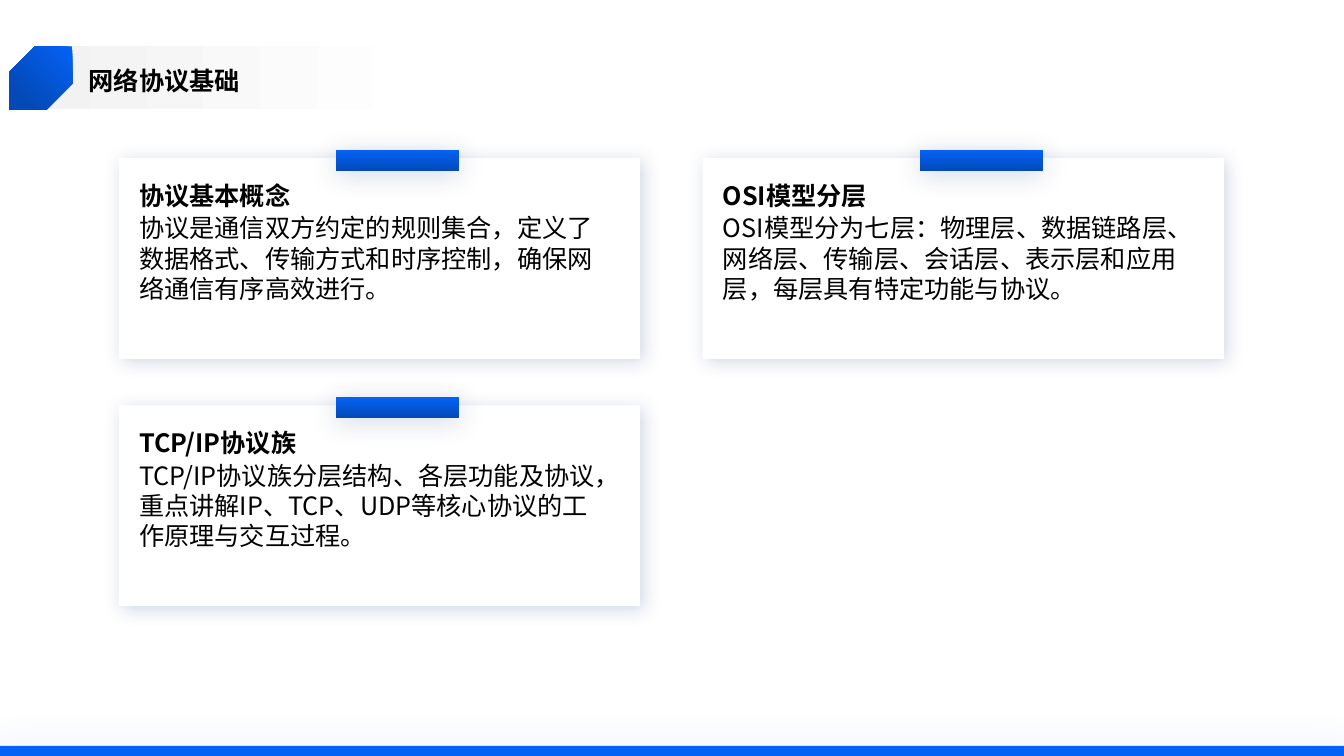
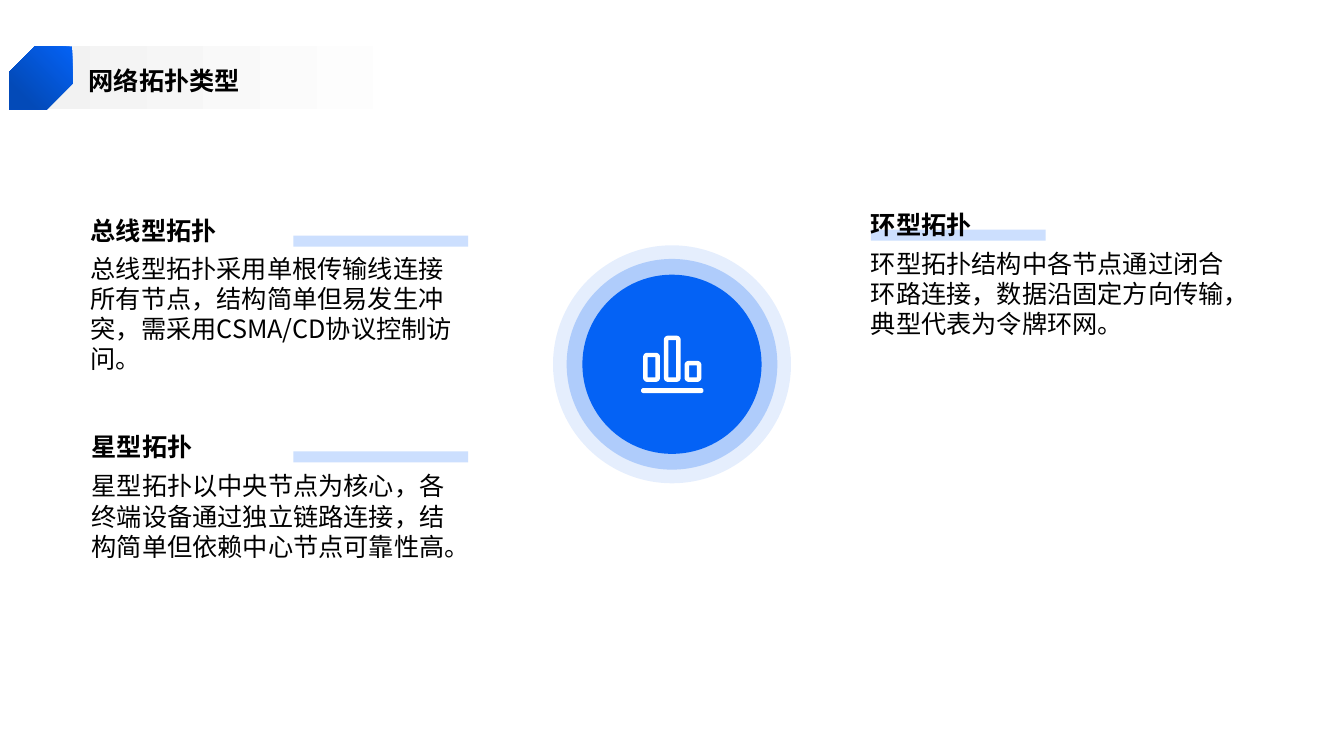
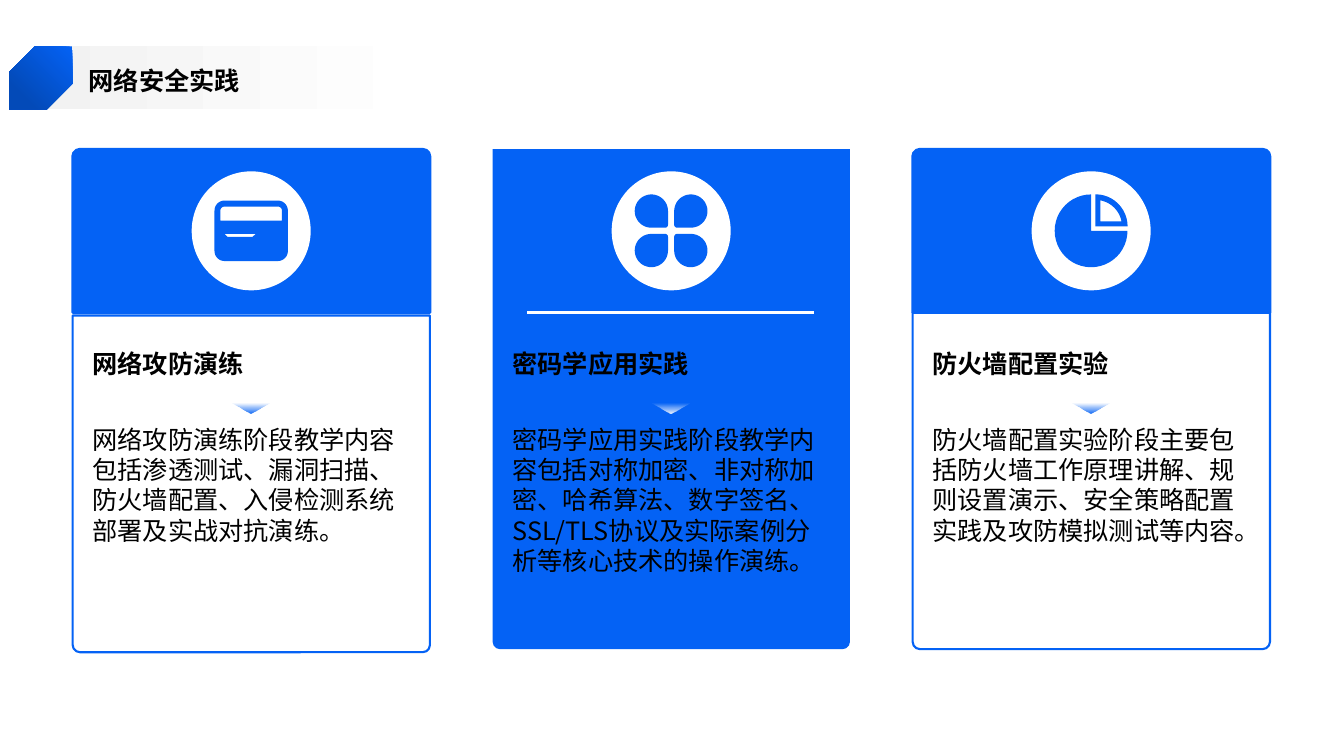
from math import cos, radians, sin

from lxml.etree import SubElement
from pptx import Presentation
from pptx.dml.color import RGBColor
from pptx.enum.shapes import MSO_CONNECTOR, MSO_SHAPE
from pptx.enum.text import MSO_ANCHOR
from pptx.oxml.ns import qn
from pptx.util import Pt

# Shared style
BLUE = RGBColor(0x04, 0x62, 0xF5)
DARK_BLUE = RGBColor(0x03, 0x4A, 0xB8)
PALE_BLUE = RGBColor(0xCC, 0xDF, 0xFE)
SHADOW_BLUE = RGBColor(0x02, 0x31, 0x7B)
LIGHT_GREY = RGBColor(0xF2, 0xF2, 0xF2)
WHITE = RGBColor(0xFF, 0xFF, 0xFF)
BLACK = RGBColor(0x00, 0x00, 0x00)
FONT = "Noto Sans CJK SC"
FONT_SIZE = Pt(18)
LINE_SPACING = Pt(21.6)
SLIDE_WIDTH, SLIDE_HEIGHT = 960, 540


# Basic elements
def set_alpha(color_element, percent):
    SubElement(color_element, qn("a:alpha")).set("val", str(percent * 1000))


def style_shape(shape, fill, line=None, line_width=0, alpha=None):
    shape.shadow.inherit = False
    if fill is not None:
        shape.fill.solid()
        shape.fill.fore_color.rgb = fill
        if alpha is not None:
            set_alpha(shape._element.spPr.find(".//" + qn("a:srgbClr")), alpha)
    if line is None:
        shape.line.fill.background()
    else:
        shape.line.color.rgb = line
        shape.line.width = Pt(line_width)
    return shape


def add_box(slide, kind, left, top, width, height, fill=None, **style):
    shape = slide.shapes.add_shape(kind, Pt(left), Pt(top), Pt(width), Pt(height))
    return style_shape(shape, fill, **style)


def add_circle(slide, center_x, center_y, diameter, fill, alpha=None):
    add_box(slide, MSO_SHAPE.OVAL, center_x - diameter / 2, center_y - diameter / 2,
            diameter, diameter, fill, alpha=alpha)


def set_gradient(shape, start, end, angle, end_position=1.0):
    """Angle runs clockwise, in degrees."""
    shape.fill.gradient()
    shape.fill.gradient_angle = -angle % 360
    first, last = shape.fill.gradient_stops
    first.position, last.position = 0, end_position
    first.color.rgb, last.color.rgb = start, end


def set_shadow(shape, color, alpha, blur, distance, angle):
    effects = shape._element.spPr.find(qn("a:effectLst"))
    shadow = SubElement(effects, qn("a:outerShdw"))
    shadow.set("blurRad", str(Pt(blur)))
    shadow.set("dist", str(Pt(distance)))
    shadow.set("dir", str(angle * 60000))
    shadow.set("algn", "ctr")
    shadow.set("rotWithShape", "0")
    color_element = SubElement(shadow, qn("a:srgbClr"))
    color_element.set("val", str(color))
    set_alpha(color_element, alpha)


def flip(shape, axis):
    shape._element.spPr.get_or_add_xfrm().set("flip" + axis, "1")


def add_text(slide, text, left, top, width, height, bold=False, anchor=MSO_ANCHOR.TOP):
    box = slide.shapes.add_textbox(Pt(left), Pt(top), Pt(width), Pt(height))
    frame = box.text_frame
    frame.word_wrap = True
    frame.vertical_anchor = anchor
    frame.margin_left = frame.margin_top = frame.margin_right = frame.margin_bottom = 0
    paragraph = frame.paragraphs[0]
    paragraph.line_spacing = LINE_SPACING
    run = paragraph.add_run()
    run.text = text
    run.font.size = FONT_SIZE
    run.font.bold = bold
    run.font.color.rgb = BLACK
    run.font.name = FONT
    SubElement(run._r.get_or_add_rPr(), qn("a:ea")).set("typeface", FONT)


# Outlines for icons, as lists of points
def arc(center_x, center_y, radius, start, end, steps=12):
    angles = [radians(start + (end - start) * step / steps) for step in range(steps + 1)]
    return [(center_x + radius * cos(angle), center_y + radius * sin(angle))
            for angle in angles]


def rounded_outline(left, top, width, height, radii):
    """Radii run clockwise from the top left corner."""
    points = []
    for corner, radius in enumerate(radii):
        x = left + width - radius if corner in (1, 2) else left + radius
        y = top + height - radius if corner in (2, 3) else top + radius
        start = 180 + 90 * corner
        points += arc(x, y, radius, start, start + 90) if radius else [(x, y)]
    return points


def add_outlines(slide, outlines, fill):
    units = 100
    scaled = [[(round(x * units), round(y * units)) for x, y in outline]
              for outline in outlines]
    builder = slide.shapes.build_freeform(*scaled[0][0], scale=Pt(1) / units)
    for index, points in enumerate(scaled):
        if index:
            builder.move_to(*points[0])
        builder.add_line_segments(points[1:], close=True)
    style_shape(builder.convert_to_shape(), fill)


def bars_icon(slide):
    bottom, width, wall = 272.8, 12, 3.2
    outlines = [rounded_outline(457.9, 277.2, 44.6, 3.6, [1.8] * 4)]
    for index, top in enumerate((252, 239.8, 257.8)):
        left = 459.4 + 14.8 * index
        height = bottom - top
        outlines.append(rounded_outline(left, top, width, height, [3] * 4))
        outlines.append(rounded_outline(left + wall, top + wall, width - 2 * wall,
                                        height - 2 * wall, [0] * 4))
    add_outlines(slide, outlines, WHITE)


def window_icon(slide, x, y):
    add_outlines(slide, [
        rounded_outline(x - 26.2, y - 21.6, 52.4, 43.2, [7.2] * 4),
        rounded_outline(x - 22, y - 17.3, 44, 10, [2.9, 2.9, 0, 0]),
        [(x - 19, y + 2.2), (x + 3.3, y + 2.2), (x + 1, y + 4.3), (x - 17, y + 4.3)],
    ], BLUE)


def clover_icon(slide, x, y):
    size, gap = 23.8, 2.2
    near, far = gap, -gap - size
    outlines = []
    petals = ((near, near), (far, near), (far, far), (near, far))
    for inner_corner, (left, top) in enumerate(petals):
        radii = [size / 2] * 4
        radii[inner_corner] = 2.2
        outlines.append(rounded_outline(x + left, y + top, size, size, radii))
    add_outlines(slide, outlines, BLUE)


def pie_icon(slide, x, y):
    wedge_x, wedge_y = x + 3.1, y - 3.1
    add_outlines(slide, [
        arc(x, y, 26, 0, 270, 36) + [(x, y)],
        arc(wedge_x, wedge_y, 23, 270, 360) + [(wedge_x, wedge_y)],
        arc(wedge_x, wedge_y, 19, 281, 349) + [(x + 6.7, y - 6.7)],
    ], BLUE)


# Parts of slides
def add_header(slide, title):
    band = add_box(slide, MSO_SHAPE.RECTANGLE, 23.8, 33.1, 354.2, 44.6)
    set_gradient(band, LIGHT_GREY, WHITE, 0, 0.8)
    add_text(slide, title, 63.4, 38.9, 855.4, 36.7, bold=True, anchor=MSO_ANCHOR.MIDDLE)
    badge = add_box(slide, MSO_SHAPE.SNIP_2_DIAG_RECTANGLE, 6.8, 33.1, 45, 45)
    badge.adjustments[0], badge.adjustments[1] = 0, 0.408
    set_gradient(badge, BLUE, DARK_BLUE, 45, 0.8)
    flip(badge, "H")


def add_note_card(slide, left, top, heading, body):
    card = add_box(slide, MSO_SHAPE.RECTANGLE, left, top, 372.2, 143.3, WHITE)
    set_shadow(card, SHADOW_BLUE, 19, 13, 3, 45)
    tab = add_box(slide, MSO_SHAPE.RECTANGLE, left + 155, top - 5.8, 88, 14.6)
    set_gradient(tab, BLUE, DARK_BLUE, 90)
    set_shadow(tab, SHADOW_BLUE, 19, 20, 3, 90)
    add_text(slide, heading, left + 14.4, top + 15.8, 328.3, 25.9, bold=True)
    add_text(slide, body, left + 14.4, top + 38.9, 328.3, 95)


def add_topic(slide, left, top, bar_left, body_top, body_height, heading, body):
    add_box(slide, MSO_SHAPE.RECTANGLE, bar_left, top + 26.5, 124.8, 7.9, PALE_BLUE)
    add_text(slide, heading, left, top, 269.3, 33.8, bold=True, anchor=MSO_ANCHOR.BOTTOM)
    add_text(slide, body, left, body_top, 269.3, body_height)


def add_panel(slide, left, top, height, radii, fill, **style):
    """Radii are the top and bottom corner radii."""
    width = 255.2
    panel = add_box(slide, MSO_SHAPE.ROUND_2_SAME_RECTANGLE, left, top, width, height,
                    fill, **style)
    for index, radius in enumerate(radii):
        panel.adjustments[index] = radius / min(width, height)


def add_practice_card(slide, left, body_top, icon, heading, body):
    """Without a body top the card is one solid panel with a divider."""
    top, radius, center_y = 106.6, 5.2, 164.9
    center_x = left + 127.5
    if body_top is None:
        add_panel(slide, left, top, 357.1, (0, radius), BLUE)
        divider = slide.shapes.add_connector(
            MSO_CONNECTOR.STRAIGHT, Pt(left + 24.7), Pt(223.2), Pt(left + 229.9), Pt(223.2))
        divider.line.color.rgb = WHITE
        divider.line.width = Pt(1.5)
        SubElement(divider._element.spPr, qn("a:effectLst"))
    else:
        add_panel(slide, left, body_top, 240.5, (0, radius), WHITE, line=BLUE, line_width=1.5)
        add_panel(slide, left, top, 116.6, (radius, 0), BLUE, line=BLUE, line_width=2)
    add_text(slide, heading, left + 14.2, 240.5, 226.8, 38.9, bold=True,
             anchor=MSO_ANCHOR.MIDDLE)
    add_text(slide, body, left + 14.2, 303.1, 226.8, 151.2)
    # Pointer fading out towards its base
    pointer = add_box(slide, MSO_SHAPE.ISOSCELES_TRIANGLE, center_x - 13, 288, 26, 7.2)
    color = WHITE if body_top is None else BLUE
    set_gradient(pointer, color, color, 90)
    set_alpha(pointer._element.spPr.findall(".//" + qn("a:srgbClr"))[-1], 0)
    flip(pointer, "V")
    add_circle(slide, center_x, center_y, 85, WHITE)
    icon(slide, center_x, center_y)


# Slides
def build_protocols(slide):
    footer = add_box(slide, MSO_SHAPE.RECTANGLE, 0, 532.8, SLIDE_WIDTH, 7.2, BLUE)
    set_shadow(footer, BLUE, 20, 25, 0, 0)
    cards = (
        ("协议基本概念",
         "协议是通信双方约定的规则集合，定义了数据格式、传输方式和时序控制，确保网络通信有序高效进行。"),
        ("TCP/IP协议族",
         "TCP/IP协议族分层结构、各层功能及协议，重点讲解IP、TCP、UDP等核心协议的工作原理与交互过程。"),
        ("OSI模型分层",
         "OSI模型分为七层：物理层、数据链路层、网络层、传输层、会话层、表示层和应用层，"
         "每层具有特定功能与协议。"),
    )
    for index, (heading, body) in enumerate(cards):
        column, row = divmod(index, 2)
        add_note_card(slide, 85 + 417 * column, 113 + 176.6 * row, heading, body)
    add_header(slide, "网络协议基础")


def build_topologies(slide):
    add_topic(slide, 64.8, 141.8, 209.5, 180.7, 108.7, "总线型拓扑",
              "总线型拓扑采用单根传输线连接所有节点，结构简单但易发生冲突，需采用CSMA/CD协议控制访问。")
    add_topic(slide, 65.5, 295.9, 209.5, 336.2, 108.7, "星型拓扑",
              "星型拓扑以中央节点为核心，各终端设备通过独立链路连接，结构简单但依赖中心节点可靠性高。")
    add_topic(slide, 622.1, 137.5, 622.1, 177.1, 212.4, "环型拓扑",
              "环型拓扑结构中各节点通过闭合环路连接，数据沿固定方向传输，典型代表为令牌环网。")
    for diameter, alpha in ((170, 10), (150.5, 24), (128, None)):
        add_circle(slide, 480, 260.2, diameter, BLUE, alpha)
    bars_icon(slide)
    add_header(slide, "网络拓扑类型")


def build_security(slide):
    cards = (
        (225.4, window_icon, "网络攻防演练",
         "网络攻防演练阶段教学内容包括渗透测试、漏洞扫描、防火墙配置、入侵检测系统部署及实战对抗演练。"),
        (None, clover_icon, "密码学应用实践",
         "密码学应用实践阶段教学内容包括对称加密、非对称加密、哈希算法、数字签名、"
         "SSL/TLS协议及实际案例分析等核心技术的操作演练。"),
        (223.2, pie_icon, "防火墙配置实验",
         "防火墙配置实验阶段主要包括防火墙工作原理讲解、规则设置演示、"
         "安全策略配置实践及攻防模拟测试等内容。"),
    )
    for index, card in enumerate(cards):
        add_practice_card(slide, 51.9 + 300 * index, *card)
    add_header(slide, "网络安全实践")


def main():
    presentation = Presentation()
    presentation.slide_width = Pt(SLIDE_WIDTH)
    presentation.slide_height = Pt(SLIDE_HEIGHT)
    blank_layout = presentation.slide_layouts[6]
    for build in (build_protocols, build_topologies, build_security):
        build(presentation.slides.add_slide(blank_layout))
    presentation.save("out.pptx")


if __name__ == "__main__":
    main()
